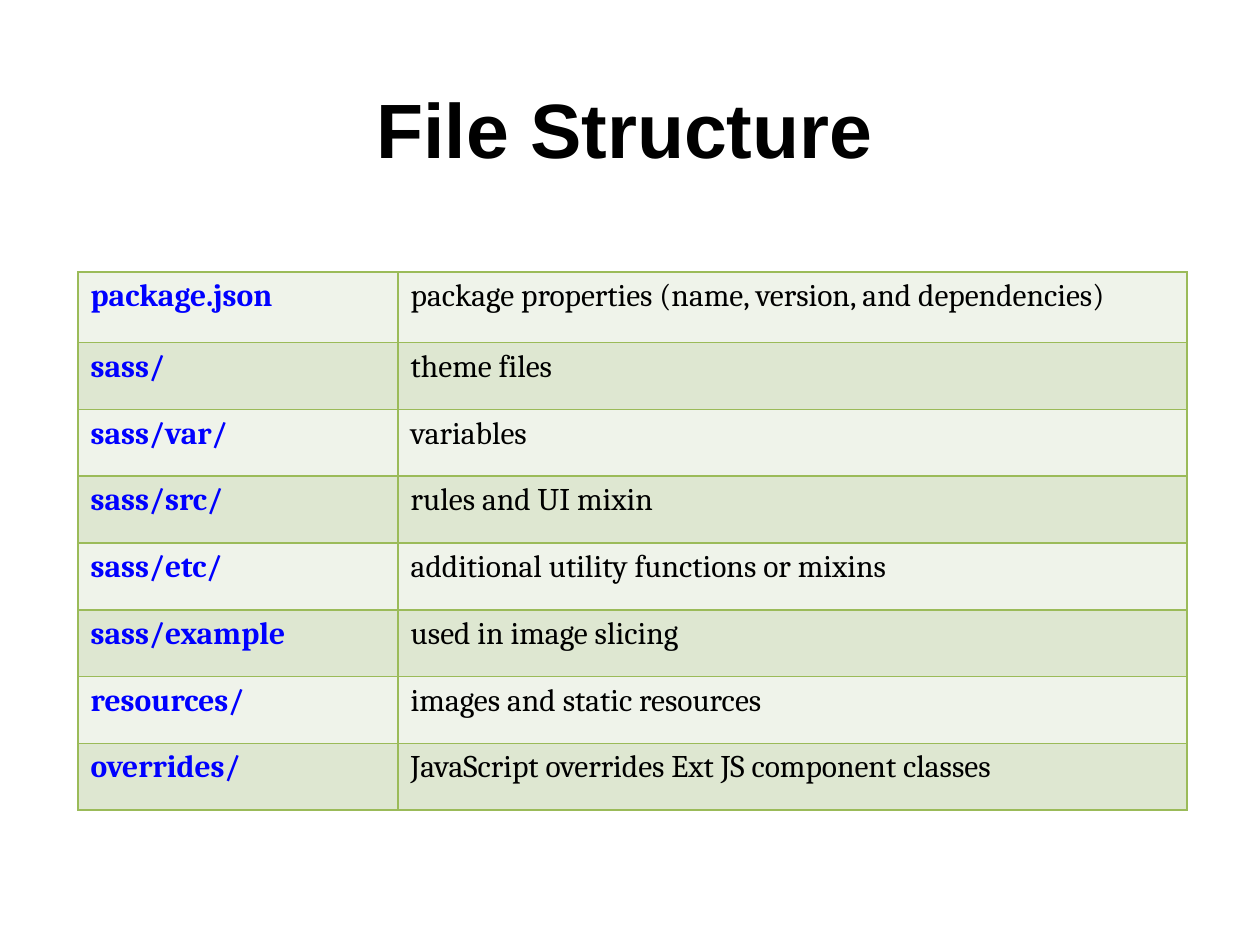
"""Build the File Structure slide."""
from typing import Any, NamedTuple

import pptx
import pptx.dml.color
import pptx.enum.text
import pptx.oxml
import pptx.oxml.ns
import pptx.util

Inches = pptx.util.Inches
Pt = pptx.util.Pt
RGBColor = pptx.dml.color.RGBColor

BLACK = RGBColor(0x00, 0x00, 0x00)
BLUE = RGBColor(0x00, 0x00, 0xFF)
GREEN = RGBColor(0x9B, 0xBB, 0x59)
BANDS = (RGBColor(0xEF, 0xF3, 0xEA), RGBColor(0xDE, 0xE7, 0xD1))

HEAD = {"name": "Arial", "size": Pt(44), "bold": True}
NAME = {"name": "Cambria", "size": Pt(18), "bold": True}
NOTE = {"name": "Cambria", "size": Pt(18), "bold": False}


class Entry(NamedTuple):
    name: str
    note: str


ENTRIES = [
    Entry("package.json", "package properties (name, version, and dependencies)"),
    Entry("sass/", "theme files"),
    Entry("sass/var/", "variables"),
    Entry("sass/src/", "rules and UI mixin"),
    Entry("sass/etc/", "additional utility functions or mixins"),
    Entry("sass/example", "used in image slicing"),
    Entry("resources/", "images and static resources"),
    Entry("overrides/", "JavaScript overrides Ext JS component classes"),
]


def write(frame: Any, text: str, form: dict[str, Any], color: RGBColor) -> None:
    run = frame.paragraphs[0].add_run()
    run.text = text
    for key, value in form.items():
        setattr(run.font, key, value)
    run.font.color.rgb = color


def border(cell: Any) -> None:
    props = cell._tc.get_or_add_tcPr()
    for side in "LRTB":
        props.append(pptx.oxml.parse_xml(
            f'<a:ln{side} {pptx.oxml.ns.nsdecls("a")} w="{Pt(1)}"><a:solidFill>'
            f'<a:srgbClr val="{GREEN}"/></a:solidFill></a:ln{side}>'))


def place_title(slide: Any) -> None:
    title = slide.shapes.title
    box = {"left": 0.15, "top": 0.53, "width": 9.62, "height": 0.96}
    for key, value in box.items():
        setattr(title, key, Inches(value))
    frame = title.text_frame
    frame.auto_size = pptx.enum.text.MSO_AUTO_SIZE.NONE
    frame.vertical_anchor = pptx.enum.text.MSO_ANCHOR.MIDDLE
    frame.paragraphs[0].alignment = pptx.enum.text.PP_ALIGN.CENTER
    write(frame, "File Structure", HEAD, BLACK)


def draw_table(slide: Any, entries: list[Entry]) -> None:
    table = slide.shapes.add_table(
        len(entries), 2, Inches(0.62), Inches(2.16), Inches(8.8), Inches(4.25)).table
    for col, width in zip(table.columns, (2.54, 6.26)):
        col.width = Inches(width)
    for i, (row, entry) in enumerate(zip(table.rows, entries)):
        row.height = Inches(0.53 if i else 0.56)
        for cell, text, form, color in zip(
                row.cells, entry, (NAME, NOTE), (BLUE, BLACK)):
            border(cell)
            cell.fill.solid()
            cell.fill.fore_color.rgb = BANDS[i % 2]
            write(cell.text_frame, text, form, color)


def main() -> None:
    deck = pptx.Presentation()
    deck.slide_width, deck.slide_height = Inches(10), Inches(7.5)
    slide = deck.slides.add_slide(deck.slide_layouts.get_by_name("Title Only"))
    place_title(slide)
    draw_table(slide, ENTRIES)
    deck.save("out.pptx")


if __name__ == "__main__":
    main()
